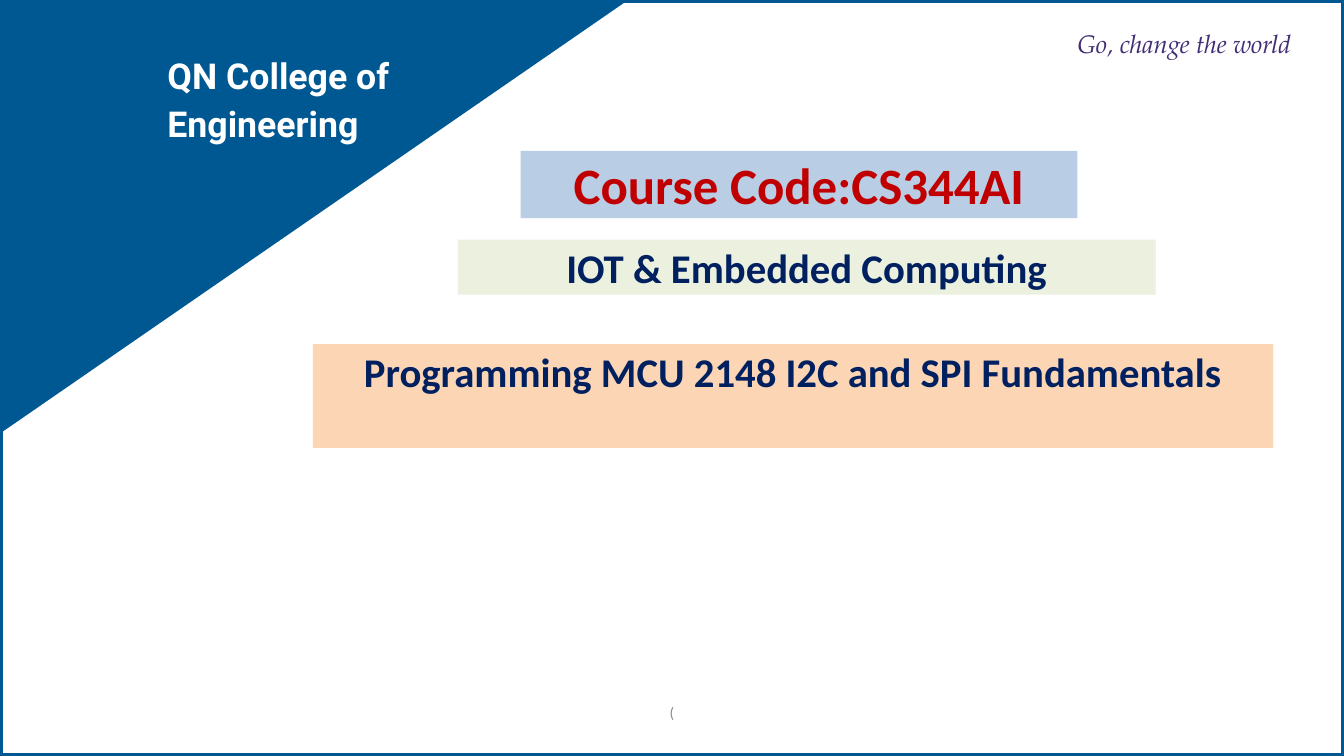
from lxml.etree import SubElement
from pptx import Presentation
from pptx.dml.color import RGBColor
from pptx.enum.shapes import MSO_SHAPE
from pptx.enum.text import MSO_ANCHOR, MSO_AUTO_SIZE, PP_ALIGN
from pptx.oxml.ns import qn
from pptx.util import Inches, Pt

COLORS = {
    "white": "FFFFFF", "blue": "005893", "purple": "422C75", "navy": "002060",
    "red": "C00000", "sky": "B9CDE5", "mint": "EBF1DE", "peach": "FCD5B5",
    "grey": "898989",
}


def color(name):
    return RGBColor.from_string(COLORS[name])


class CoverSlide:
    """Style and current slide; positions are percentages of the slide's size."""

    def __init__(self, deck):
        self.width, self.height = deck.slide_width, deck.slide_height
        self.slide = deck.slides.add_slide(deck.slide_layouts[0])
        self.shapes = self.slide.shapes

    def box(self, left, top, width, height):
        return (int(self.width * left / 100), int(self.height * top / 100),
                int(self.width * width / 100), int(self.height * height / 100))

    def frame(self):
        border = self.shapes.add_shape(MSO_SHAPE.RECTANGLE, *self.box(0, 0, 100, 100))
        border.shadow.inherit = False
        border.fill.solid()
        border.fill.fore_color.rgb = color("white")
        # 98 % opaque fill
        tint = border._element.spPr.find(qn("a:solidFill"))[0]
        SubElement(tint, qn("a:alpha"), val="98000")
        border.line.color.rgb = color("blue")
        border.line.width = Pt(6)

    def corner(self, right, bottom, left=-0.05, top=0.16):
        points = [self.box(x, y, 0, 0)[:2]
                  for x, y in ((right, top), (left, top), (left, bottom))]
        outline = self.shapes.build_freeform(*points[0])
        outline.add_line_segments(points[1:], close=True)
        triangle = outline.convert_to_shape()
        triangle.shadow.inherit = False
        triangle.fill.solid()
        triangle.fill.fore_color.rgb = color("blue")
        triangle.line.fill.background()

    def set_text(self, shape, lines, size, ink, font="Calibri", bold=False,
                 italic=False, align=PP_ALIGN.CENTER, spacing=1.0):
        frame = shape.text_frame
        frame.text = "\n".join(lines)
        frame.word_wrap = True
        frame.auto_size = MSO_AUTO_SIZE.NONE
        frame.vertical_anchor = MSO_ANCHOR.TOP
        for index, paragraph in enumerate(frame.paragraphs):
            paragraph.alignment = align
            paragraph.line_spacing = spacing
            paragraph.space_before = Pt(1 if index else 0)
            paragraph.font.name, paragraph.font.size = font, Pt(size)
            paragraph.font.bold, paragraph.font.italic = bold, italic
            paragraph.font.color.rgb = color(ink)

    def label(self, area, lines, size, ink, **style):
        text = self.shapes.add_textbox(*self.box(*area))
        frame = text.text_frame
        frame.margin_left = frame.margin_right = frame.margin_bottom = 0
        frame.margin_top = Inches(0.01)
        self.set_text(text, lines, size, ink, **style)

    def banner(self, area, line, size, ink, paper, placeholder=None):
        if placeholder is None:
            band = self.shapes.add_shape(MSO_SHAPE.RECTANGLE, *self.box(*area))
            band.shadow.inherit = False
        else:
            band = self.slide.placeholders[placeholder]
            band.left, band.top, band.width, band.height = self.box(*area)
            # Bring the placeholder in front of the frame
            self.shapes._spTree.append(band._element)
        band.fill.solid()
        band.fill.fore_color.rgb = color(paper)
        band.line.fill.background()
        self.set_text(band, [line], size, ink, bold=True)


def main():
    deck = Presentation()
    deck.slide_width, deck.slide_height = Inches(21.99), Inches(12.37)
    cover = CoverSlide(deck)

    # Frame and corner
    cover.frame()
    cover.corner(right=46.61, bottom=57.4)

    # College and motto
    cover.label((12.46, 6.39, 18.96, 12.77), ["QN College of", "Engineering"], 42,
                "white", font="Roboto", bold=True, align=PP_ALIGN.LEFT, spacing=1.11)
    cover.label((80.17, 3.64, 16.92, 8.16), ["Go, change the world"], 30, "purple",
                font="TeX Gyre Pagella", italic=True, align=PP_ALIGN.LEFT)

    # Course, subject and topic
    cover.banner((38.74, 19.97, 41.43, 8.89), "Course Code:CS344AI",
                 60, "red", "sky", placeholder=0)
    cover.banner((34.06, 31.69, 51.93, 7.28), "IOT & Embedded Computing",
                 48, "navy", "mint", placeholder=1)
    cover.banner((23.28, 45.51, 71.44, 13.74),
                 "Programming MCU 2148 I2C and SPI Fundamentals", 48, "navy", "peach")

    # Footer
    cover.label((34.02, 92.97, 31.97, 2.43), ["("], 18, "grey")

    deck.save("out.pptx")


if __name__ == "__main__":
    main()
